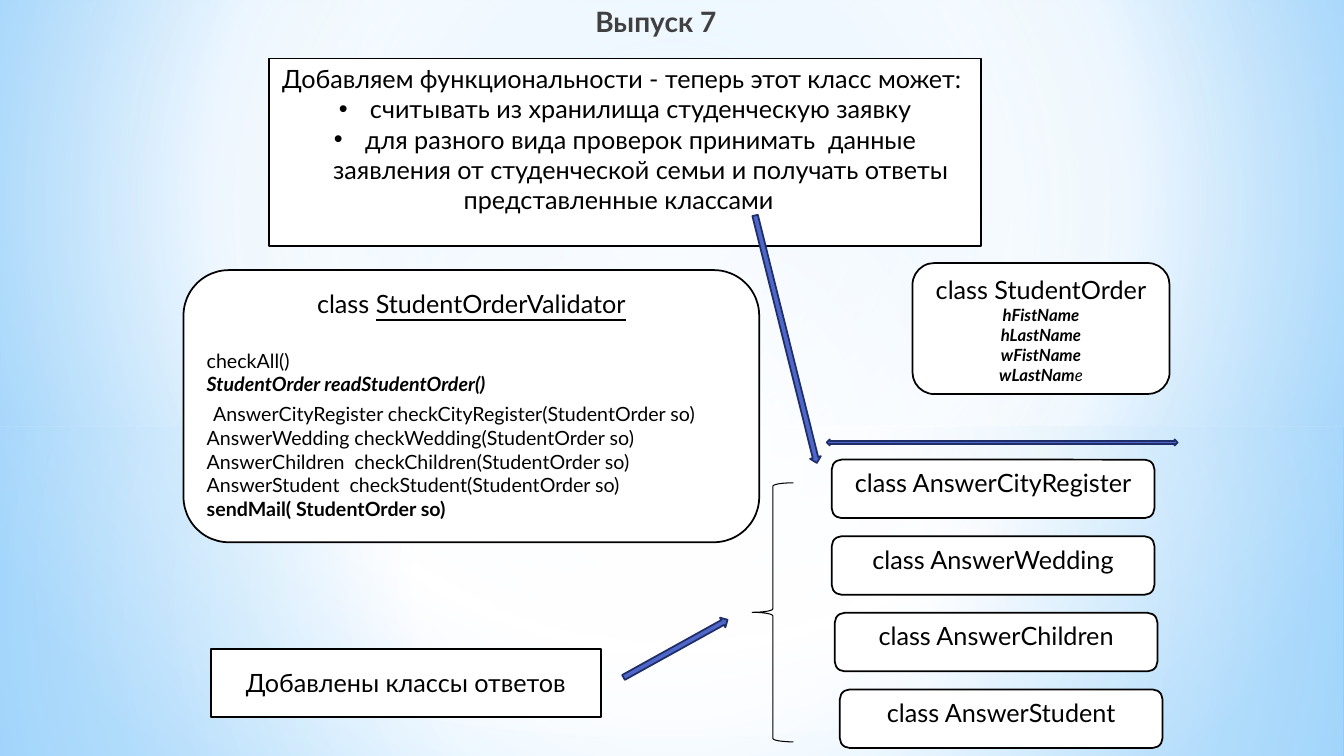
from dataclasses import dataclass

from pptx import Presentation
from pptx.dml.color import RGBColor
from pptx.enum.shapes import MSO_SHAPE as SHAPE
from pptx.enum.text import MSO_ANCHOR as ANCHOR, PP_ALIGN as ALIGN
from pptx.oxml import parse_xml
from pptx.oxml.ns import nsdecls, qn
from pptx.util import Inches, Pt


@dataclass(frozen=True)
class Theme:
    font: str = "Lato"
    ink: str = "000000"
    title_ink: str = "404040"
    paper: str = "FFFFFF"
    sky: str = "B4DCFA"
    sky_mid: str = "9ED5FF"
    sky_deep: str = "5BB9FF"
    arrow: str = "4E67C8"
    arrow_edge: str = "1F2E69"
    title: int = 20
    body: int = 18
    code: int = 14
    field: int = 12
    outline: float = 1.25
    thin: float = 0.75


T = Theme()
CENTER_RECT = (50, 50, 50, 50)


def add_text(p, text, size=T.body, color=T.ink, bold=False, italic=False,
             underline=False):
    """Add one formatted run to a paragraph."""
    r = p.add_run()
    r.text = text
    f = r.font
    f.name, f.size, f.bold, f.italic = T.font, Pt(size), bold, italic
    f.underline = underline
    f.color.rgb = RGBColor.from_string(color)


def set_gradient(fill, parent, stops, rect=None):
    """Circular gradient towards rect (l, t, r, b in %), or vertical without it."""
    gs = "".join(
        f'<a:gs pos="{pos * 1000}"><a:srgbClr val="{color}">'
        f'<a:alpha val="{alpha * 1000}"/></a:srgbClr></a:gs>'
        for pos, color, alpha in stops)
    if rect:
        sides = " ".join(f'{k}="{v * 1000}"' for k, v in zip("ltrb", rect))
        way = f'<a:path path="circle"><a:fillToRect {sides}/></a:path>'
    else:
        way = '<a:lin ang="5400000" scaled="0"/>'
    fill.solid()
    solid = parent.find(qn("a:solidFill"))
    parent.replace(solid, parse_xml(
        f'<a:gradFill {nsdecls("a")} rotWithShape="1">'
        f'<a:gsLst>{gs}</a:gsLst>{way}</a:gradFill>'))


class Deck:
    def __init__(self):
        self.prs = Presentation()
        self.prs.slide_width, self.prs.slide_height = Inches(13.33), Inches(7.5)
        self.slide = self.prs.slides.add_slide(self.prs.slide_layouts[6])

    def background(self, stops, rect):
        fill = self.slide.background.fill
        fill.solid()
        set_gradient(fill, self.slide.element.find(".//" + qn("p:bgPr")), stops, rect)

    def shape(self, kind, at, fill=None, line=None, width=T.outline, rotation=0):
        sp = self.slide.shapes.add_shape(kind, *map(Inches, at))
        sp.shadow.inherit = False
        sp.rotation = rotation
        if fill:
            sp.fill.solid()
            sp.fill.fore_color.rgb = RGBColor.from_string(fill)
        else:
            sp.fill.background()
        if line:
            sp.line.color.rgb = RGBColor.from_string(line)
            sp.line.width = Pt(width)
        else:
            sp.line.fill.background()
        return sp

    def glow(self, kind, at, stops, rect=None):
        sp = self.shape(kind, at)
        set_gradient(sp.fill, sp.element.spPr, stops, rect)

    def box(self, kind, at, paragraphs, anchor=ANCHOR.TOP):
        sp = self.shape(kind, at, T.paper, T.ink)
        self.set_text(sp.text_frame, paragraphs, anchor)

    def arrow(self, kind, at, rotation):
        self.shape(kind, at, T.arrow, T.arrow_edge, rotation=rotation)

    def title(self, at, text):
        tf = self.slide.shapes.add_textbox(*map(Inches, at)).text_frame
        runs = [(text, dict(size=T.title, color=T.title_ink, bold=True))]
        self.set_text(tf, [dict(runs=runs, margin=0.2)])

    def set_text(self, tf, paragraphs, anchor=ANCHOR.TOP):
        tf.word_wrap = True
        tf.vertical_anchor = anchor
        for i, par in enumerate(paragraphs):
            p = tf.add_paragraph() if i else tf.paragraphs[0]
            p.alignment = par.get("align", ALIGN.CENTER)
            p.space_after = Pt(par.get("after", 0))
            pPr = p._p.get_or_add_pPr()
            if "margin" in par:
                pPr.set("marL", str(Inches(par["margin"])))
            if par.get("bullet"):
                pPr.set("indent", str(-Inches(par["margin"])))
                pPr.append(parse_xml(f'<a:buFont {nsdecls("a")} typeface="Arial"/>'))
                pPr.append(parse_xml(f'<a:buChar {nsdecls("a")} char="•"/>'))
            for text, style in par["runs"]:
                add_text(p, text, **style)


def line(text, **style):
    return dict(runs=[(text, style)])


def bullet(text):
    return dict(line(text), bullet=True, margin=0.31)


def code(*runs):
    return dict(runs=[(text, dict(dict(size=T.code), **style)) for text, style in runs],
                align=ALIGN.LEFT)


def main():
    deck = Deck()

    # Sky backdrop
    deck.background([(0, T.sky_mid, 100), (60, T.paper, 100), (100, T.sky_deep, 100)],
                    (20, 10, 20, 60))
    deck.glow(SHAPE.RECTANGLE, (0, 4.23, 13.33, 3.27),
              [(0, T.paper, 91), (37, T.paper, 76), (100, T.sky, 79)], CENTER_RECT)
    deck.glow(SHAPE.RECTANGLE, (0, 0, 13.33, 4.23),
              [(0, T.paper, 89), (48, T.paper, 62), (100, T.sky, 79)], CENTER_RECT)
    deck.glow(SHAPE.RECTANGLE, (0, 2.9, 13.33, 2.5),
              [(0, T.paper, 0), (29, T.paper, 30), (45, T.sky, 40),
               (55, T.paper, 26), (65, T.sky, 60), (100, T.paper, 0)])
    deck.glow(SHAPE.OVAL, (0, 1.75, 13.33, 5.58),
              [(0, T.paper, 100), (54, T.paper, 0)], CENTER_RECT)

    # Title and task description
    deck.title((2.48, 0, 7.85, 0.58), "Выпуск 7")
    deck.box(SHAPE.FLOWCHART_PROCESS, (2.67, 0.58, 7.06, 1.86), [
        line("Добавляем функциональности - теперь этот класс может: "),
        bullet("считывать из хранилища студенческую заявку"),
        bullet("для разного вида проверок принимать  данные заявления "
               "от студенческой семьи и получать ответы"),
        line("представленные классами  "),
    ])

    # Validator class
    heading = dict(runs=[("class ", {}), ("StudentOrderValidator", dict(underline=True))],
                   after=21.6)
    deck.box(SHAPE.ROUNDED_RECTANGLE, (1.82, 2.68, 5.71, 2.7), [
        heading,
        code(("checkAll()", {})),
        code(("StudentOrder readStudentOrder()", dict(bold=True, italic=True))),
        code((" ", dict(size=T.body)),
             ("AnswerCityRegister checkCityRegister(StudentOrder so)", {})),
        code(("AnswerWedding checkWedding(StudentOrder so) ", {})),
        code(("AnswerChildren  checkChildren(StudentOrder so)", {})),
        code(("AnswerStudent  checkStudent(StudentOrder so) ", {})),
        code(("sendMail( StudentOrder so)", dict(bold=True))),
    ])

    # Order class
    field = dict(size=T.field, bold=True, italic=True)
    last_field = dict(runs=[("wLastNam", field), ("e", dict(field, bold=False))])
    deck.box(SHAPE.ROUNDED_RECTANGLE, (9.05, 2.61, 2.55, 1.3), [
        line("class StudentOrder"),
        *(line(name, **field) for name in ("hFistName", "hLastName", "wFistName")),
        last_field,
    ])

    # Answer classes
    answers = [("CityRegister", 8.25), ("Wedding", 8.25),
               ("Children", 8.28), ("Student", 8.33)]
    for i, (name, left) in enumerate(answers):
        deck.box(SHAPE.ROUNDED_RECTANGLE, (left, 4.56 + 0.76 * i, 3.2, 0.58),
                 [line(f"class Answer{name}")])

    # Brace, note and arrows
    deck.shape(SHAPE.LEFT_BRACE, (7.46, 4.79, 0.41, 2.57), line=T.ink, width=T.thin)
    deck.box(SHAPE.FLOWCHART_PROCESS, (2.09, 6.44, 3.87, 0.67),
             [line("Добавлены классы ответов")], ANCHOR.MIDDLE)
    deck.arrow(SHAPE.UP_DOWN_ARROW, (9.91, 2.65, 0.06, 3.48), 90)
    deck.arrow(SHAPE.RIGHT_ARROW, (6.11, 6.38, 1.18, 0.11), 331)
    deck.arrow(SHAPE.RIGHT_ARROW, (6.53, 3.31, 2.53, 0.11), 76)

    deck.prs.save("out.pptx")


if __name__ == "__main__":
    main()
